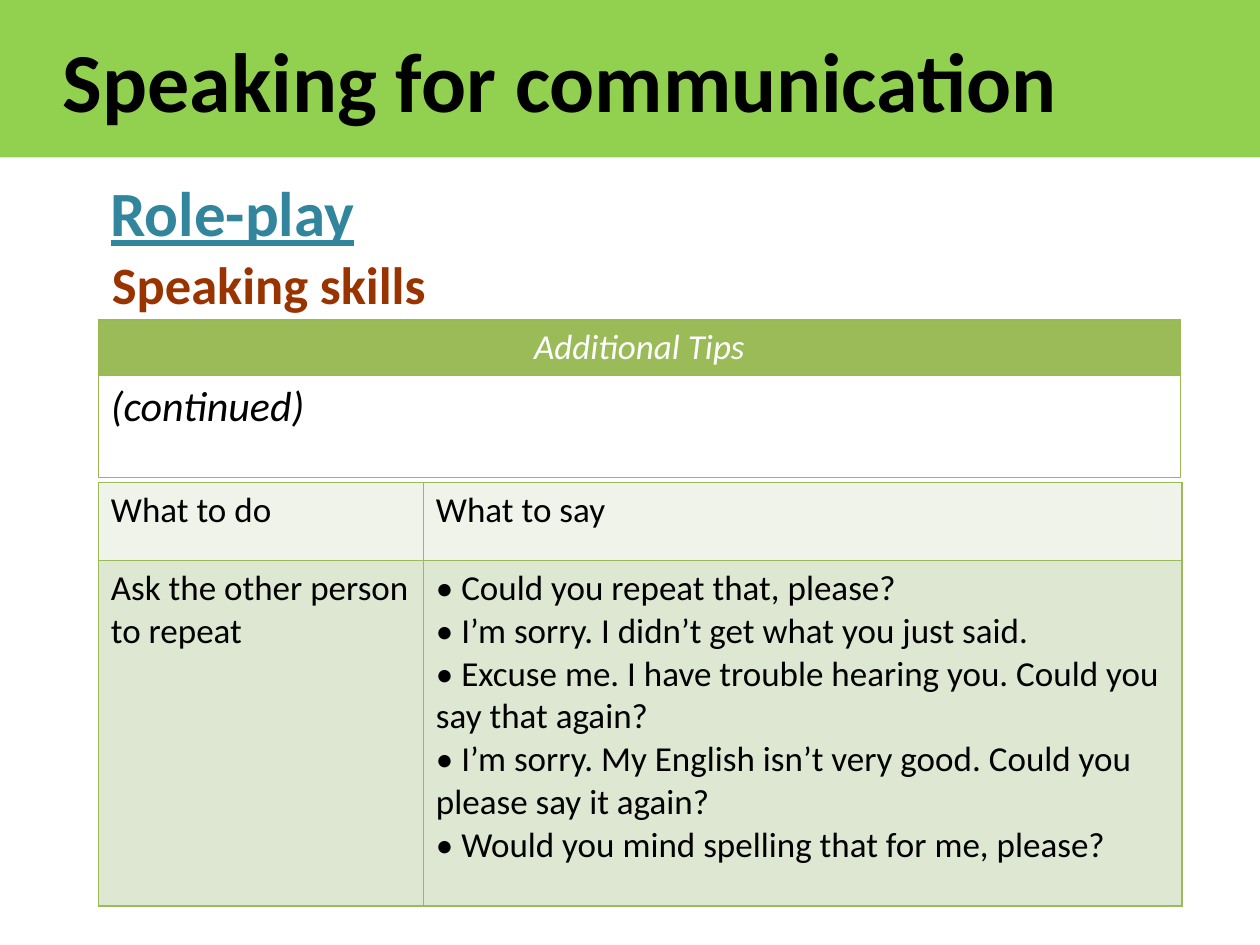
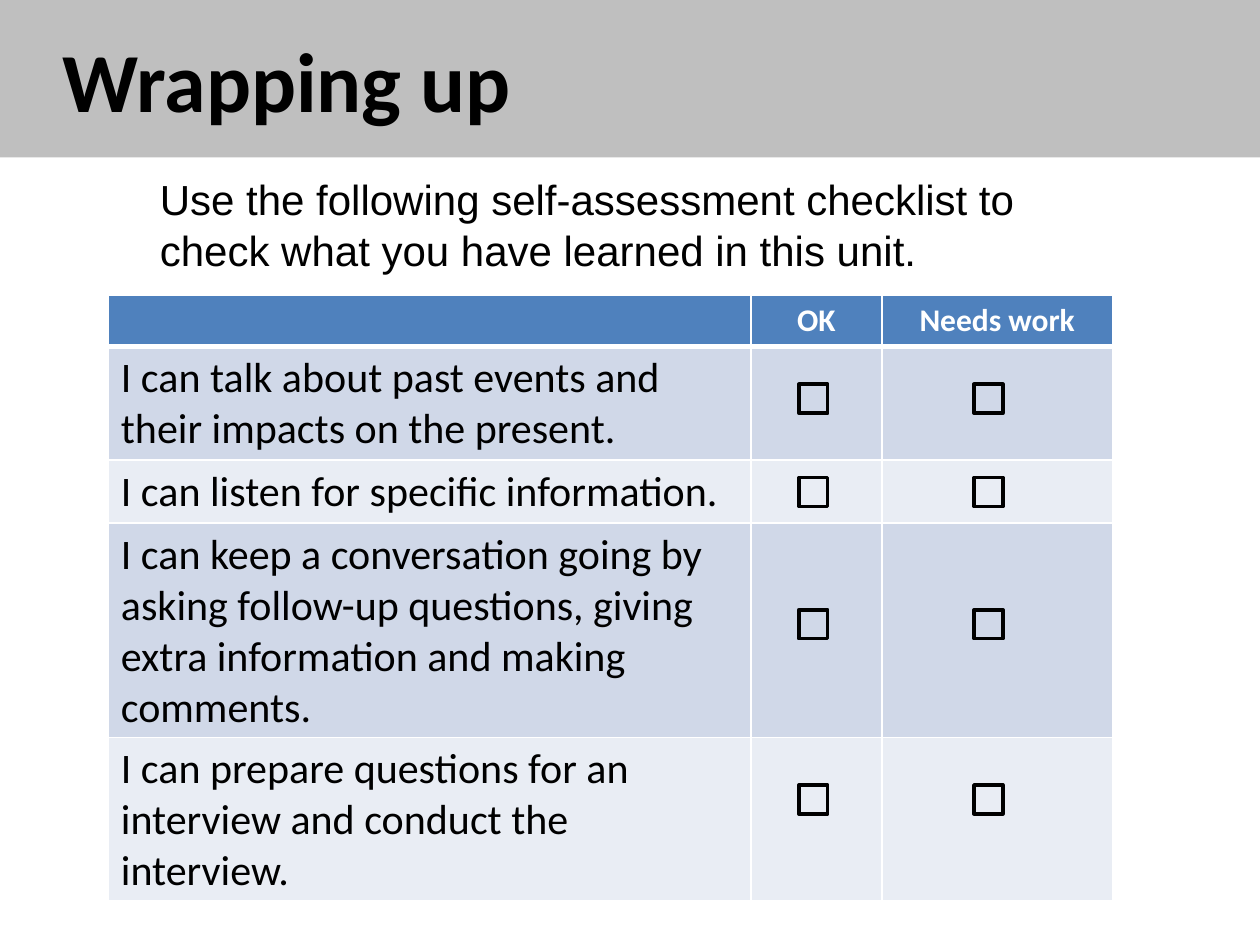
from dataclasses import dataclass

from lxml.etree import SubElement
from pptx import Presentation
from pptx.dml.color import RGBColor
from pptx.enum.shapes import MSO_SHAPE as SHAPE
from pptx.enum.text import MSO_ANCHOR as ANCHOR, PP_ALIGN as ALIGN
from pptx.oxml.ns import qn
from pptx.util import Inches, Pt


@dataclass(frozen=True)
class Theme:
    font: str = "Calibri"
    intro_font: str = "Arial"
    black: str = "000000"
    white: str = "FFFFFF"
    speaking_band: str = "92D050"
    wrapping_band: str = "BFBFBF"
    heading: str = "31859C"
    subheading: str = "993300"
    green: str = "9BBB59"
    green_border: str = "98B955"
    green_pale: str = "EFF3EA"
    green_mid: str = "DEE7D1"
    blue: str = "4F81BD"
    blue_mid: str = "D0D8E8"
    blue_pale: str = "E9EDF4"
    title_size: int = 48
    heading_size: int = 36
    subheading_size: int = 30
    body_size: int = 24
    table_size: int = 20
    label_size: int = 18


T = Theme()


@dataclass(frozen=True)
class RowStyle:
    fill: str
    size: int
    color: str = T.black
    bold: bool = False
    italic: bool = False
    align: ALIGN = ALIGN.LEFT


def rgb(value):
    return RGBColor.from_string(value)


def style_text(tf, size, color, font=T.font, bold=False, italic=False,
               underline=False, align=ALIGN.LEFT):
    for p in tf.paragraphs:
        p.alignment = align
        p.font.name = font
        p.font.size = Pt(size)
        p.font.color.rgb = rgb(color)
        p.font.bold = bold
        p.font.italic = italic
        p.font.underline = underline


def add_rect(s, x, y, w, h):
    sp = s.shapes.add_shape(SHAPE.RECTANGLE, Inches(x), Inches(y), Inches(w), Inches(h))
    sp.shadow.inherit = False
    return sp


def add_title_band(s, text, fill):
    sp = add_rect(s, 0, 0, 10, 1.25)
    sp.fill.solid()
    sp.fill.fore_color.rgb = rgb(fill)
    sp.line.fill.background()
    tf = sp.text_frame
    tf.text = text
    tf.margin_left = Inches(0.5)
    tf.vertical_anchor = ANCHOR.MIDDLE
    style_text(tf, T.title_size, T.black, bold=True)


def add_text(s, text, x, y, w, h, size, color, wrap=True, **style):
    sp = s.shapes.add_textbox(Inches(x), Inches(y), Inches(w), Inches(h))
    tf = sp.text_frame
    tf.word_wrap = wrap
    tf.text = text
    style_text(tf, size, color, **style)


def set_borders(cell, color, top=1, bottom=1, side=1):
    """Draw the cell's edges; a width of 0 leaves that edge out."""
    tc_pr = cell._tc.get_or_add_tcPr()
    widths = {"a:lnL": side, "a:lnR": side, "a:lnT": top, "a:lnB": bottom}
    for i, (tag, width) in enumerate(widths.items()):
        ln = SubElement(tc_pr, qn(tag), w=str(Pt(width)))
        if width:
            fill = SubElement(ln, qn("a:solidFill"))
            SubElement(fill, qn("a:srgbClr"), val=color)
        else:
            SubElement(ln, qn("a:noFill"))
        tc_pr.insert(i, ln)


def add_grid(s, x, y, widths, heights, rows, styles, border, line=1, rule=None):
    """Add a table; rule is the width of the line under its first row."""
    rule = line if rule is None else rule
    frame = s.shapes.add_table(len(rows), len(widths), Inches(x), Inches(y),
                               Inches(sum(widths)), Inches(sum(heights)))
    table = frame.table
    table.first_row = table.horz_banding = False
    for column, width in zip(table.columns, widths):
        column.width = Inches(width)
    for r, (texts, st) in enumerate(zip(rows, styles)):
        table.rows[r].height = Inches(heights[r])
        for c, text in enumerate(texts):
            cell = table.cell(r, c)
            cell.text = text
            cell.fill.solid()
            cell.fill.fore_color.rgb = rgb(st.fill)
            style_text(cell.text_frame, st.size, st.color, bold=st.bold,
                       italic=st.italic, align=st.align)
            set_borders(cell, border, side=line,
                        top=rule if r == 1 else line,
                        bottom=rule if r == 0 else line)


def add_checkbox(s, x, y):
    sp = add_rect(s, x, y, 0.23, 0.23)
    sp.fill.background()
    sp.line.color.rgb = rgb(T.black)
    sp.line.width = Pt(2)


def build_speaking(s):
    add_title_band(s, "Speaking for communication", T.speaking_band)
    add_text(s, "Role-play", 0.78, 1.33, 2.16, 0.71, T.heading_size, T.heading,
             wrap=False, bold=True, underline=True)
    add_text(s, "Speaking skills", 0.79, 1.95, 2.72, 0.61, T.subheading_size,
             T.subheading, bold=True)

    # Tips heading
    add_grid(s, 0.78, 2.54, [8.59], [0.44, 0.81],
             [["Additional Tips"], ["(continued)"]],
             [RowStyle(T.green, T.table_size, T.white, italic=True, align=ALIGN.CENTER),
              RowStyle(T.white, T.body_size, italic=True)],
             T.green_border, line=0.75)

    # Phrases to use
    phrases = [
        "• Could you repeat that, please?",
        "• I’m sorry. I didn’t get what you just said.",
        "• Excuse me. I have trouble hearing you. Could you say that again?",
        "• I’m sorry. My English isn’t very good. Could you please say it again?",
        "• Would you mind spelling that for me, please?",
    ]
    add_grid(s, 0.78, 3.83, [2.58, 6.02], [0.62, 2.74],
             [["What to do", "What to say"],
              ["Ask the other person to repeat", "\n".join(phrases)]],
             [RowStyle(T.green_pale, T.table_size), RowStyle(T.green_mid, T.table_size)],
             T.green)


def build_wrapping_up(s):
    add_title_band(s, "Wrapping up", T.wrapping_band)
    add_text(s, "Use the following self-assessment checklist to check what you "
             "have learned in this unit.", 1.17, 1.33, 7.58, 0.91,
             T.body_size, T.black, font=T.intro_font)

    # Checklist
    skills = [
        "I can talk about past events and their impacts on the present.",
        "I can listen for specific information.",
        "I can keep a conversation going by asking follow-up questions, "
        "giving extra information and making comments.",
        "I can prepare questions for an interview and conduct the interview.",
    ]
    header = RowStyle(T.blue, T.label_size, T.white, bold=True, align=ALIGN.CENTER)
    bands = [RowStyle(T.blue_mid, T.body_size), RowStyle(T.blue_pale, T.body_size)]
    add_grid(s, 0.86, 2.34, [5.1, 1.04, 1.83], [0.41, 0.9, 0.5, 1.7, 1.29],
             [["", "OK", "Needs work"]] + [[skill, "", ""] for skill in skills],
             [header] + bands * 2, T.white, rule=3)

    # Boxes to tick
    for y in (3.05, 3.79, 4.84, 6.23):
        for x in (6.34, 7.73):
            add_checkbox(s, x, y)


def main():
    prs = Presentation()
    prs.slide_width, prs.slide_height = Inches(10), Inches(7.5)
    blank = prs.slide_layouts[6]
    for build in (build_speaking, build_wrapping_up):
        build(prs.slides.add_slide(blank))
    prs.save("out.pptx")


if __name__ == "__main__":
    main()
